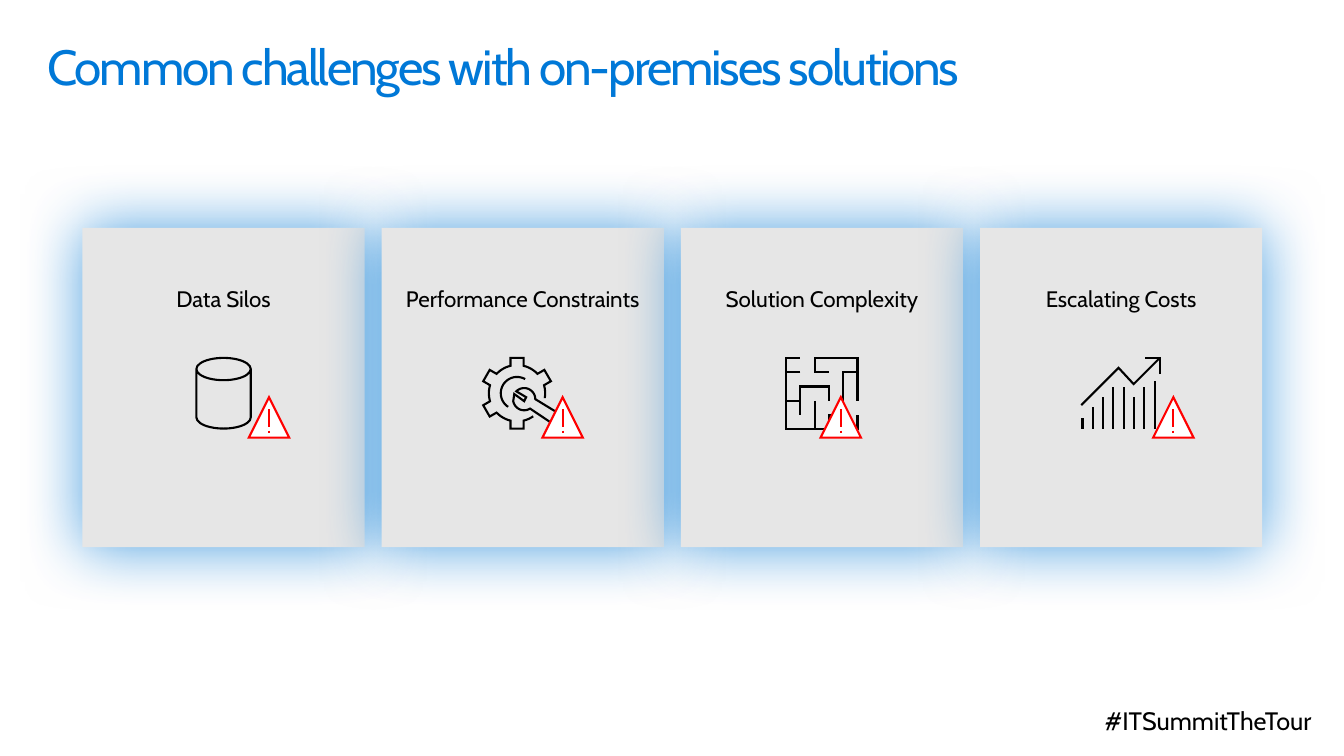
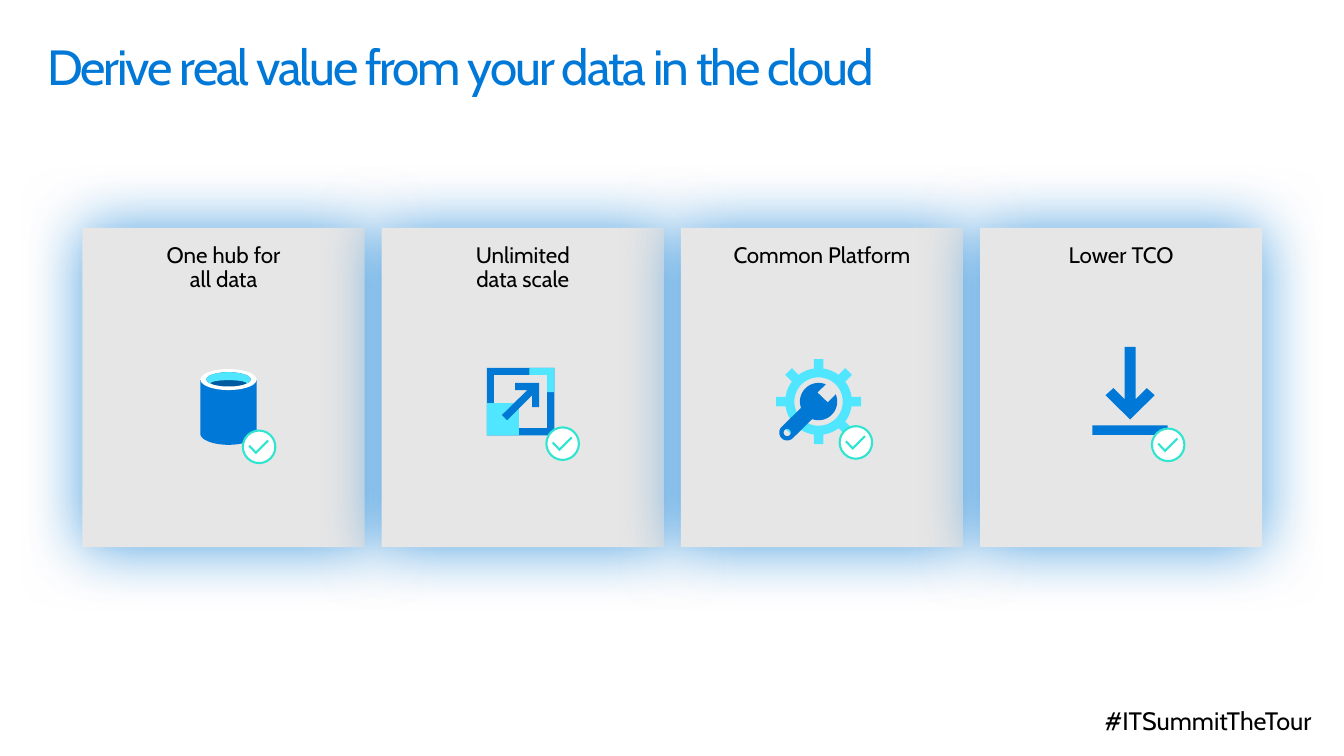
from dataclasses import dataclass
from math import asin, cos, degrees, radians, sin
from typing import Callable, NamedTuple, Optional

from lxml import etree
from pptx import Presentation
from pptx import util as u
from pptx.dml.color import RGBColor
from pptx.enum import shapes, text
from pptx.oxml import ns

Point = tuple[float, float]


# Theme: colours, type sizes and the card grid (cm)
@dataclass(frozen=True)
class Theme:
    font: str = "Cabin"
    title_size: float = 35.3
    footer_size: float = 18
    card_size: float = 16
    line_width: float = 1.5
    black: str = "000000"
    white: str = "FFFFFF"
    blue: str = "0078D7"
    navy: str = "005A9F"
    cyan: str = "50E6FF"
    teal: str = "30E5D0"
    red: str = "FF0000"
    card: str = "E6E6E6"
    glow: str = "0078D4"
    card_left: float = 2.08
    card_top: float = 5.74
    card_width: float = 7.11
    card_height: float = 8.05
    card_pitch: float = 7.54


THEME = Theme()
FOOTER = "#ITSummitTheTour"


class Contour(NamedTuple):
    points: list[Point]
    closed: bool = True


class Card(NamedTuple):
    lines: list[str]
    icon: Callable
    icon_at: Point
    badge_at: Point


class SlideContent(NamedTuple):
    title: str
    card_inset: float
    badge: Callable
    cards: list[Card]


# Geometry
def arc(center: Point, rx: float, ry: float, start: float, end: float) -> list[Point]:
    steps = max(2, round(abs(end - start) / 6))
    angles = [radians(start + (end - start) * i / steps) for i in range(steps + 1)]
    return [(center[0] + rx * cos(a), center[1] + ry * sin(a)) for a in angles]


def gear(center: Point, radius: float, tip: float, half: float,
         teeth: list[float], start: float, end: float) -> list[Point]:
    """Rim from start to end, with a square tooth at each given angle."""
    points: list[Point] = []
    spread = degrees(asin(half / radius))
    position = start
    for tooth in teeth:
        points += arc(center, radius, radius, position, tooth - spread)
        c, s = cos(radians(tooth)), sin(radians(tooth))
        points += [(center[0] + tip * c - side * s, center[1] + tip * s + side * c)
                   for side in (-half, half)]
        position = tooth + spread
    return points + arc(center, radius, radius, position, end)


# Drawing helpers
def paint(shape, fill: Optional[str], line: Optional[str]) -> None:
    shape.shadow.inherit = False
    if fill:
        shape.fill.solid()
        shape.fill.fore_color.rgb = RGBColor.from_string(fill)
    else:
        shape.fill.background()
    if line:
        shape.line.color.rgb = RGBColor.from_string(line)
        shape.line.width = u.Pt(THEME.line_width)
        outline = shape._element.spPr.find(ns.qn("a:ln"))
        etree.SubElement(outline, ns.qn("a:miter"), lim="800000")
    else:
        shape.line.fill.background()


def add_preset(slide, kind, left: float, top: float, width: float, height: float,
               fill: Optional[str] = None, line: Optional[str] = None):
    shape = slide.shapes.add_shape(kind, u.Cm(left), u.Cm(top), u.Cm(width), u.Cm(height))
    paint(shape, fill, line)
    return shape


def add_contours(slide, at: Point, contours: list[Contour],
                 fill: Optional[str] = None, line: Optional[str] = None) -> None:
    builder = None
    for contour in contours:
        first, *rest = [(u.Cm(at[0] + x), u.Cm(at[1] + y)) for x, y in contour.points]
        if builder is None:
            builder = slide.shapes.build_freeform(*first)
        else:
            builder.move_to(*first)
        builder.add_line_segments(rest, close=contour.closed)
    paint(builder.convert_to_shape(), fill, line)


def write(frame, lines: list[str], size: float, color: str, align,
          insets: tuple[float, float], spacing: float = 1.0, tracking: int = 0) -> None:
    side, top = insets
    frame.word_wrap = True
    frame.vertical_anchor = text.MSO_ANCHOR.TOP
    frame.margin_left = frame.margin_right = u.Cm(side)
    frame.margin_top, frame.margin_bottom = u.Cm(top), u.Cm(0)
    for index, line in enumerate(lines):
        paragraph = frame.add_paragraph() if index else frame.paragraphs[0]
        paragraph.alignment = align
        paragraph.line_spacing = spacing
        run = paragraph.add_run()
        run.text = line
        run.font.name = THEME.font
        run.font.size = u.Pt(size)
        run.font.color.rgb = RGBColor.from_string(color)
        if tracking:
            run.font._element.set("spc", str(tracking))


def add_glow(shape) -> None:
    effects = shape._element.spPr.find(ns.qn("a:effectLst"))
    shadow = etree.SubElement(effects, ns.qn("a:outerShdw"), blurRad=str(u.Pt(45)),
                              algn="ctr", rotWithShape="0")
    color = etree.SubElement(shadow, ns.qn("a:srgbClr"), val=THEME.glow)
    etree.SubElement(color, ns.qn("a:alpha"), val="70000")


# Badges
def warning_badge(slide, at: Point) -> None:
    add_contours(slide, at, [
        Contour([(0, 1.02), (0.51, 0), (1.02, 1.02)]),
        Contour([(0.51, 0.3), (0.51, 0.76)], False),
        Contour([(0.51, 0.84), (0.51, 0.91)], False),
    ], THEME.white, THEME.red)


def check_badge(slide, at: Point) -> None:
    add_preset(slide, shapes.MSO_SHAPE.OVAL, *at, 0.82, 0.82, THEME.white, THEME.teal)
    add_contours(slide, at, [Contour([(0.16, 0.38), (0.33, 0.56), (0.64, 0.25)], False)],
                 line=THEME.teal)


# Line icons of the challenges
def silo_icon(slide, at: Point) -> None:
    can = add_preset(slide, shapes.MSO_SHAPE.CAN, *at, 1.37, 1.78, line=THEME.black)
    can.adjustments[0] = 0.41


def tuning_icon(slide, at: Point) -> None:
    hub, head = (0.81, 0.89), (0.99, 1.04)
    wrench = (arc((1.77, 1.52), 0.15, 0.15, 124, -56) + arc(head, 0.28, 0.28, 0, -135)
              + [(1.04, 0.99), (0.99, 1.09), (0.74, 0.91)]
              + arc(head, 0.28, 0.28, 170, 58))
    add_contours(slide, at, [
        Contour(gear(hub, 0.71, 0.89, 0.165, [90, 150, 210, 270, 330], 55, 370), False),
        Contour(arc(hub, 0.41, 0.41, 300, 123), False),
        Contour(wrench),
    ], line=THEME.black)


def maze_icon(slide, at: Point) -> None:
    cell = 0.36
    walls = [
        [(5, 4), (5, 5), (0, 5), (0, 0), (1, 0)],
        [(5, 3), (5, 0), (2, 0), (2, 1), (3, 1)],
        [(5, 1), (4, 1), (4, 3)],
        [(4, 4), (3, 4), (3, 5)],
        [(2, 3), (2, 5)],
        [(3, 3), (3, 2), (1, 2), (1, 4)],
        [(1, 3), (0, 3)],
        [(1, 1), (0, 1)],
    ]
    add_contours(slide, at, [Contour([(x * cell, y * cell) for x, y in wall], False)
                             for wall in walls], line=THEME.black)


def growth_icon(slide, at: Point) -> None:
    tops = [1.52, 1.24, 0.99, 0.74, 0.74, 0.99, 0.74, 0.58]
    bars = [Contour([(0.03 + 0.26 * i, 1.78), (0.03 + 0.26 * i, top)], False)
            for i, top in enumerate(tops)]
    trend = Contour([(1.98, 0), (1.32, 0.66), (0.94, 0.25), (0, 1.19)], False)
    head = Contour([(1.98, 0.41), (1.98, 0), (1.6, 0)], False)
    add_contours(slide, at, bars + [trend, head], line=THEME.black)


# Filled icons of the benefits
def hub_icon(slide, at: Point) -> None:
    x, y = at
    body = arc((0.71, 1.63), 0.71, 0.28, 0, 180) + [(0, 0.28), (1.42, 0.28)]
    wall = arc((0.71, 0.26), 0.56, 0.18, 36, -216) + arc((0.71, 0.36), 0.45, 0.08, 180, 360)
    add_contours(slide, at, [Contour(body)], THEME.blue)
    add_preset(slide, shapes.MSO_SHAPE.OVAL, x, y, 1.42, 0.53, THEME.white)
    add_preset(slide, shapes.MSO_SHAPE.OVAL, x + 0.15, y + 0.08, 1.12, 0.36, THEME.navy)
    add_contours(slide, at, [Contour(wall)], THEME.cyan)


def scale_icon(slide, at: Point) -> None:
    x, y = at
    frame = add_preset(slide, shapes.MSO_SHAPE.FRAME, x, y, 1.7, 1.7, THEME.glow)
    frame.adjustments[0] = 0.18 / 1.7
    add_preset(slide, shapes.MSO_SHAPE.RECTANGLE, x, y + 0.89, 0.81, 0.81, THEME.cyan)
    corner = [(1.07, 0), (1.07, 0.18), (1.52, 0.18), (1.52, 0.61), (1.7, 0.61), (1.7, 0)]
    arrow = [(0.71, 0.38), (0.71, 0.56), (1.02, 0.56), (0.38, 1.19), (0.51, 1.32),
             (1.14, 0.69), (1.14, 0.99), (1.32, 0.99), (1.32, 0.38)]
    add_contours(slide, at, [Contour(corner)], THEME.cyan)
    add_contours(slide, at, [Contour(arrow)], THEME.glow)


def platform_icon(slide, at: Point) -> None:
    center, grip = (1.07, 1.07), (0.28, 1.85)
    teeth = [45 * i for i in range(8)]
    rim = gear(center, 0.84, 1.07, 0.12, teeth, -22.5, 337.5)
    wrench = (arc(center, 0.47, 0.47, -67, -200) + arc(grip, 0.2, 0.2, 225, 45)
              + arc(center, 0.47, 0.47, 110, -23) + [(1.3, 1.09), (1.04, 0.84)])
    add_contours(slide, at, [Contour(rim), Contour(arc(center, 0.61, 0.61, 360, 0))], THEME.cyan)
    add_contours(slide, at, [Contour(wrench), Contour(arc(grip, 0.09, 0.09, 0, 360))], THEME.glow)


def lower_icon(slide, at: Point) -> None:
    arrow = [(1.57, 1.22), (1.37, 1.04), (1.09, 1.32), (1.09, 0), (0.81, 0),
             (0.81, 1.32), (0.53, 1.04), (0.33, 1.22), (0.95, 1.83)]
    add_contours(slide, at, [Contour(arrow)], THEME.blue)
    add_preset(slide, shapes.MSO_SHAPE.RECTANGLE, at[0], at[1] + 1.98, 1.9, 0.24, THEME.blue)


# Content
SLIDES = [
    SlideContent("Common challenges with on-premises solutions", 1.52, warning_badge, [
        Card(["Data Silos"], silo_icon, (4.95, 9.02), (6.27, 10.01)),
        Card(["Performance Constraints"], tuning_icon, (12.22, 9.02), (13.67, 10.01)),
        Card(["Solution Complexity"], maze_icon, (19.81, 9.02), (20.68, 10.01)),
        Card(["Escalating Costs"], growth_icon, (27.25, 9.02), (29.06, 10.01)),
    ]),
    SlideContent("Derive real value from your data in the cloud", 0.41, check_badge, [
        Card(["One hub for", "all data"], hub_icon, (5.05, 9.3), (6.12, 10.85)),
        Card(["Unlimited", "data scale"], scale_icon, (12.27, 9.27), (13.77, 10.77)),
        Card(["Common Platform"], platform_icon, (19.56, 9.05), (21.16, 10.74)),
        Card(["Lower TCO"], lower_icon, (27.53, 8.74), (29.03, 10.8)),
    ]),
]


# Slide assembly
def add_frame(slide, title: str) -> None:
    footer = slide.shapes.add_textbox(u.Cm(21.49), u.Cm(17.78), u.Cm(11.56), u.Cm(0.76))
    write(footer.text_frame, [FOOTER], THEME.footer_size, THEME.black,
          text.PP_ALIGN.RIGHT, (0, 0))
    heading = slide.shapes.add_textbox(u.Cm(1.19), u.Cm(0.61), u.Cm(31.5), u.Cm(2.11))
    write(heading.text_frame, [title], THEME.title_size, THEME.blue,
          text.PP_ALIGN.LEFT, (0, 0.46), 0.9, -150)


def build_slide(presentation, content: SlideContent) -> None:
    slide = presentation.slides.add_slide(presentation.slide_layouts[6])
    add_frame(slide, content.title)
    for index, card in enumerate(content.cards):
        panel = add_preset(slide, shapes.MSO_SHAPE.RECTANGLE,
                           THEME.card_left + index * THEME.card_pitch, THEME.card_top,
                           THEME.card_width, THEME.card_height, THEME.card)
        add_glow(panel)
        write(panel.text_frame, card.lines, THEME.card_size, THEME.black,
              text.PP_ALIGN.CENTER, (0.25, content.card_inset), 0.9)
    for card in content.cards:
        card.icon(slide, card.icon_at)
        content.badge(slide, card.badge_at)


def main() -> None:
    presentation = Presentation()
    presentation.slide_width, presentation.slide_height = u.Cm(33.87), u.Cm(19.05)
    for content in SLIDES:
        build_slide(presentation, content)
    presentation.save("out.pptx")


if __name__ == "__main__":
    main()
